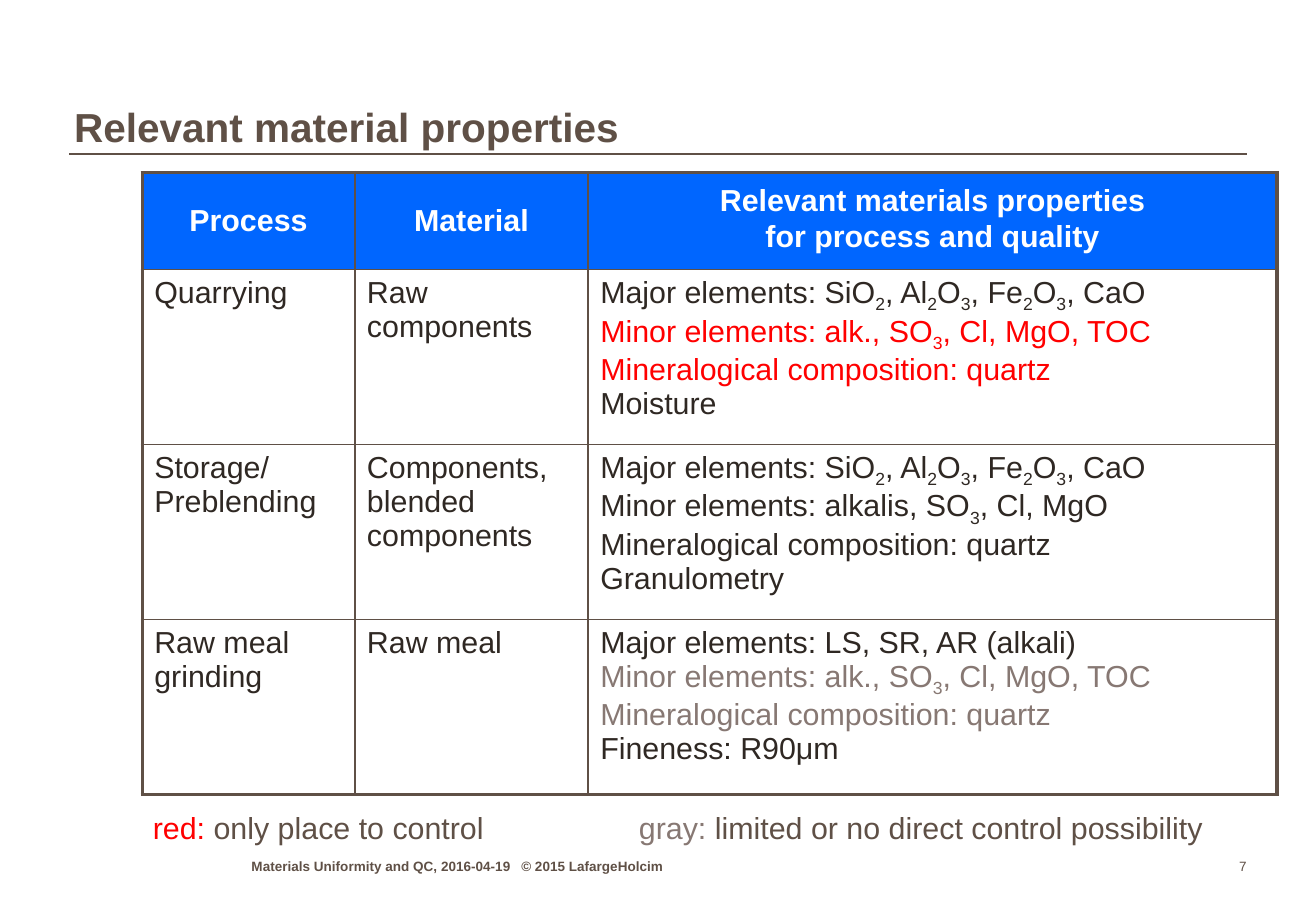
import pptx
import pptx.dml.color
import pptx.enum.shapes
import pptx.enum.text
import pptx.oxml.ns
import pptx.util
from lxml import etree

Inches = pptx.util.Inches
Pt = pptx.util.Pt
PP_ALIGN = pptx.enum.text.PP_ALIGN
ANCHOR = pptx.enum.text.MSO_ANCHOR
qn = pptx.oxml.ns.qn

BROWN, DARK, RED, GRAY = "5F5046", "2F2823", "FF0000", "877873"
BLUE, WHITE = "0066FF", "FFFFFF"

HEADERS = [["Process"], ["Material"],
           ["Relevant materials properties", "for process and quality"]]
OXIDES = "Major elements: SiO_2, Al_2O_3, Fe_2O_3, CaO"
MINOR = "Minor elements: alk., SO_3, Cl, MgO, TOC"
QUARTZ = "Mineralogical composition: quartz"
ROWS = [
    [[("Quarrying", DARK)],
     [("Raw components", DARK)],
     [(OXIDES, DARK), (MINOR, RED), (QUARTZ, RED), ("Moisture", DARK)]],
    [[("Storage/", DARK), ("Preblending", DARK)],
     [("Components, blended components", DARK)],
     [(OXIDES, DARK), ("Minor elements: alkalis, SO_3, Cl, MgO", DARK),
      (QUARTZ, DARK), ("Granulometry", DARK)]],
    [[("Raw meal grinding", DARK)],
     [("Raw meal", DARK)],
     [("Major elements: LS, SR, AR (alkali)", DARK), (MINOR, GRAY),
      (QUARTZ, GRAY), ("Fineness: R90μm", DARK)]],
]
LEGEND = [("red:", RED), (" only place to control\t", BROWN),
          ("gray: ", GRAY), ("limited or no direct control possibility", BROWN)]


def rgb(color):
    return pptx.dml.color.RGBColor.from_string(color)


def set_font(font, size, color, bold=False):
    font.name = "Arial"
    font.size = Pt(size)
    font.bold = bold
    font.color.rgb = rgb(color)


def add_tab(p, inches):
    tabs = etree.SubElement(p._p.get_or_add_pPr(), qn("a:tabLst"))
    etree.SubElement(tabs, qn("a:tab"), pos=str(Inches(inches)), algn="l")


def add_text_box(slide, left, top, width, height, anchor, margin=0):
    sp = slide.shapes.add_textbox(Inches(left), Inches(top), Inches(width), Inches(height))
    tf = sp.text_frame
    tf.word_wrap = True
    tf.vertical_anchor = anchor
    tf.margin_left = tf.margin_right = Inches(margin)
    tf.margin_top = tf.margin_bottom = Inches(margin / 2)
    return tf.paragraphs[0]


def add_formula(p, text):
    first, *rest = text.split("_")
    p.add_run().text = first
    for part in rest:
        sub = p.add_run()
        sub.text = part[0]
        sub.font._element.set("baseline", "-25000")
        p.add_run().text = part[1:]


def set_borders(cell, widths):
    tcPr = cell._tc.get_or_add_tcPr()
    for side, width in zip("LRTB", widths):
        ln = etree.SubElement(tcPr, qn("a:ln" + side), w=str(Pt(width)))
        fill = etree.SubElement(ln, qn("a:solidFill"))
        etree.SubElement(fill, qn("a:srgbClr"), val=BROWN)


def paragraphs(tf, count):
    return [tf.paragraphs[0]] + [tf.add_paragraph() for _ in range(count - 1)]


def fill_header(cell, lines):
    cell.fill.solid()
    cell.fill.fore_color.rgb = rgb(BLUE)
    cell.vertical_anchor = ANCHOR.MIDDLE
    for i, (p, line) in enumerate(zip(paragraphs(cell.text_frame, len(lines)), lines)):
        p.text = line
        p.alignment = PP_ALIGN.CENTER
        if len(lines) > 1:
            p.line_spacing = 0.8
        if i == 0:
            p.space_after = Pt(5.4)
        set_font(p.font, 18, WHITE, True)


def fill_body(cell, lines):
    cell.fill.background()
    for p, (text, color) in zip(paragraphs(cell.text_frame, len(lines)), lines):
        add_formula(p, text)
        set_font(p.font, 18, color)


def add_title(slide, left, top, width, height):
    p = add_text_box(slide, left + 0.04, top, width - 0.09, height - 0.02, ANCHOR.BOTTOM)
    p.text = "Relevant material properties"
    p.line_spacing = 0.95
    set_font(p.font, 24, BROWN, True)
    y = Inches(top + height)
    rule = slide.shapes.add_connector(pptx.enum.shapes.MSO_CONNECTOR.STRAIGHT,
                                      Inches(left), y, Inches(left + width), y)
    rule.line.color.rgb = rgb(BROWN)
    rule.line.width = Pt(1)
    etree.SubElement(rule._element.spPr, qn("a:effectLst"))


def add_properties_table(slide, left, top, width, height):
    count = len(ROWS) + 1
    table = slide.shapes.add_table(count, len(HEADERS), Inches(left), Inches(top),
                                   Inches(width), Inches(height)).table
    table.first_row = table.horz_banding = False
    for column, w in zip(table.columns, [1.75, 1.92, width - 3.67]):
        column.width = Inches(w)
    header_height = 0.8
    body_height = (height - header_height) / len(ROWS)
    for r, content in enumerate([HEADERS] + ROWS):
        table.rows[r].height = Inches(body_height if r else header_height)
        for c, lines in enumerate(content):
            cell = table.cell(r, c)
            outer = [c == 0, c == len(HEADERS) - 1, r == 0, r == count - 1]
            set_borders(cell, [2.25 if edge else 1 for edge in outer])
            (fill_body if r else fill_header)(cell, lines)


def add_legend(slide, left, top, width, height):
    p = add_text_box(slide, left, top, width, height, ANCHOR.TOP, 0.1)
    add_tab(p, 4)
    for text, color in LEGEND:
        r = p.add_run()
        r.text = text
        set_font(r.font, 18, color)


def add_footer(slide, left, top, width, height):
    p = add_text_box(slide, left, top, 3.6, height, ANCHOR.BOTTOM)
    add_tab(p, 2.22)
    p.text = "Materials Uniformity and QC, 2016-04-19\t© 2015 LafargeHolcim"
    set_font(p.font, 8, BROWN, True)
    p = add_text_box(slide, left + width - 0.47, top, 0.47, height, ANCHOR.BOTTOM)
    p.text = "7"
    p.alignment = PP_ALIGN.RIGHT
    set_font(p.font, 8, BROWN)


def main():
    prs = pptx.Presentation()
    prs.slide_width = Inches(10.83)
    prs.slide_height = Inches(7.5)
    slide = prs.slides.add_slide(prs.slide_layouts[6])
    add_title(slide, 0.57, 0.39, 9.69, 0.88)
    add_properties_table(slide, 1.17, 1.42, 9.34, 5.12)
    add_legend(slide, 1.16, 6.61, 9, 0.4)
    add_footer(slide, 2.07, 7.02, 8.19, 0.18)
    prs.save("out.pptx")


if __name__ == "__main__":
    main()
